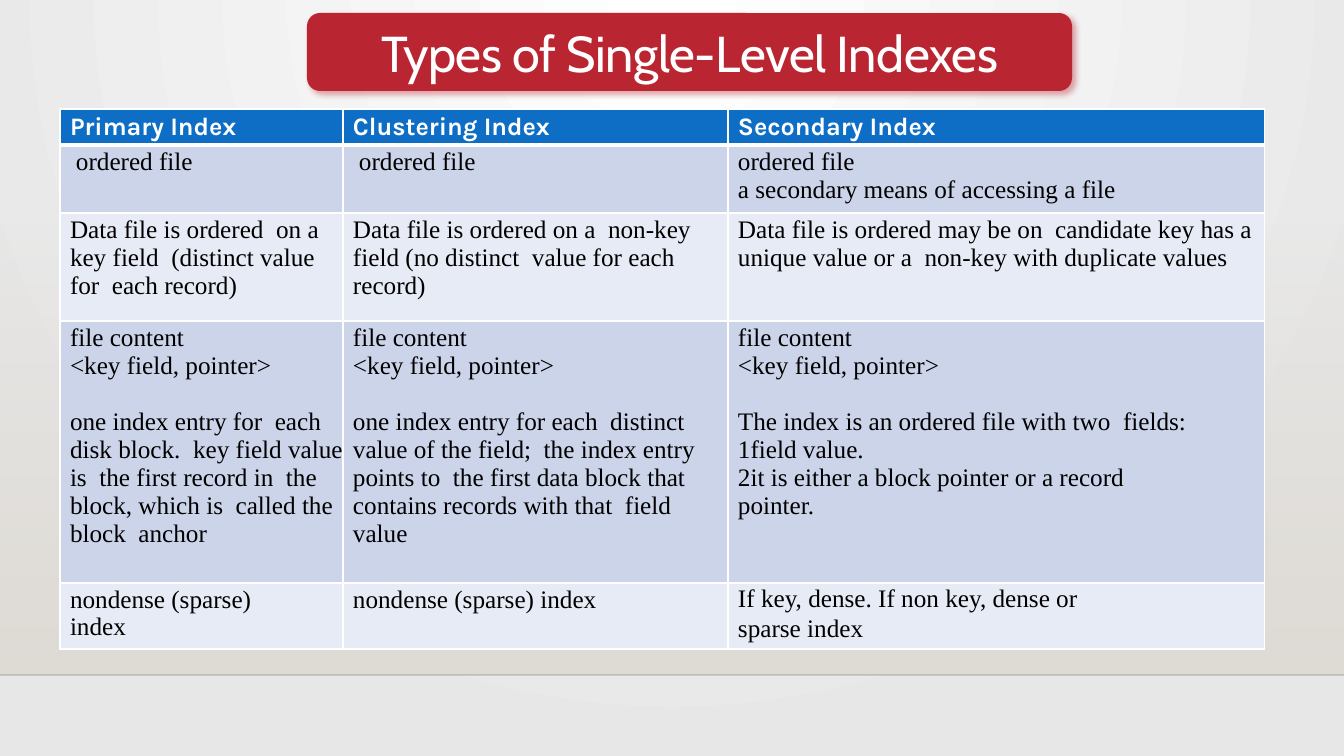
from dataclasses import dataclass

import pptx
import pptx.util
from lxml import etree
from pptx.dml.color import RGBColor
from pptx.enum.shapes import MSO_CONNECTOR, MSO_SHAPE
from pptx.enum.text import MSO_ANCHOR, PP_ALIGN
from pptx.oxml.ns import qn

SCALE = 914400 / 100.8
WIDE, HIGH = 1344, 756


class Theme:
    white, black, edge = "FFFFFF", "000000", "000001"
    rim, floor = "E7E7E7", "DFDBD5"
    red, blue = "BA2532", "0E6EC5"
    bands = ("CCD4EA", "E7EBF5")
    title, head, body = "Cabin", "Karla", "Times New Roman"
    large, small = 36, 18


@dataclass
class Line:
    text: str
    gap: float = 0
    pitch: float = 0
    indent: int = 10
    number: bool = False


COLS = (283, 385, 536)
ROWS = (36, 68, 108, 262, 66)
HEADS = ("Primary Index", "Clustering Index", "Secondary Index")
ORDER = [Line("ordered file", indent=16)]
ENTRY = [Line("file content"), Line("<key field, pointer>")]
BLANK = 20.2
BODY = (
    (
        ORDER,
        ORDER,
        [Line("ordered file"), Line("a secondary means of accessing a file")],
    ),
    (
        [Line("Data file is ordered  on a key field  (distinct value for  each record)")],
        [Line("Data file is ordered on a  non-key field (no distinct  value for each record)")],
        [Line("Data file is ordered may be on  candidate key has a unique value"
              " or a  non-key with duplicate values")],
    ),
    (
        ENTRY + [Line("one index entry for  each disk block.  key field value is  the first"
                      " record in  the block, which is  called the block  anchor", BLANK)],
        ENTRY + [Line("one index entry for each  distinct value of the field;  the index entry"
                      " points to  the first data block that  contains records with that  field"
                      " value", BLANK)],
        ENTRY + [
            Line("The index is an ordered file with two  fields:", BLANK),
            Line("field value.", number=True),
            Line("it is either a block pointer or a record", number=True),
            Line("pointer."),
        ],
    ),
    (
        [Line("nondense (sparse)"), Line("index", pitch=19.2)],
        [Line("nondense (sparse) index")],
        [Line("If key, dense. If non key, dense or", pitch=19),
         Line("sparse index", gap=7.2, pitch=14.6)],
    ),
)


def px(count):
    return pptx.util.Emu(round(count * SCALE))


def node(parent, tag, **attrs):
    return etree.SubElement(parent, qn(f"a:{tag}"), attrs)


def paint(fill, color):
    fill.solid()
    fill.fore_color.rgb = RGBColor.from_string(color)


def blend(fill, *colors):
    fill.gradient()
    for stop, place, color in zip(fill.gradient_stops, (0, 1), colors):
        stop.position = place
        stop.color.rgb = RGBColor.from_string(color)


def write(para, text, font, size, color, bold=False):
    run = para.add_run()
    run.text = text
    run.font.name = font
    run.font.size = pptx.util.Pt(size)
    run.font.bold = bold
    run.font.color.rgb = RGBColor.from_string(color)
    return run


def add_back(slide, top, base):
    """Draw the round backdrop and a floor that fades in from top to base."""
    fill = slide.background.fill
    blend(fill, Theme.white, Theme.rim)
    grad = slide.element.find(f".//{qn('a:gradFill')}")
    grad.remove(grad.find(qn("a:lin")))
    ring = etree.SubElement(grad, qn("a:path"), {"path": "circle"})
    node(ring, "fillToRect", l="43000", t="0", r="43000", b="100000")

    floor = slide.shapes.add_shape(
        MSO_SHAPE.RECTANGLE, 0, px(top), px(WIDE), px(base - top))
    floor.shadow.inherit = False
    floor.line.fill.background()
    blend(floor.fill, Theme.floor, Theme.floor)
    floor.fill.gradient_angle = 270
    node(floor.element.find(f".//{qn('a:srgbClr')}"), "alpha", val="0")

    edge = slide.shapes.add_connector(
        MSO_CONNECTOR.STRAIGHT, 0, px(base), px(WIDE), px(base))
    edge.line.width = pptx.util.Pt(1)
    paint(edge.line.fill, Theme.edge)
    node(edge.element.find(f".//{qn('a:srgbClr')}"), "alpha", val="20000")
    node(edge.element.spPr, "effectLst")


def add_title(slide, left, top, width, height):
    box = slide.shapes.add_shape(
        MSO_SHAPE.ROUNDED_RECTANGLE, px(left), px(top), px(width), px(height))
    paint(box.fill, Theme.red)
    box.line.fill.background()
    glow = node(node(box.element.spPr, "effectLst"), "outerShdw", blurRad="50800",
                dist="38100", dir="2700000", algn="tl", rotWithShape="0")
    node(node(glow, "srgbClr", val=Theme.red), "alpha", val="40000")
    frame = box.text_frame
    frame.word_wrap = True
    frame.vertical_anchor = MSO_ANCHOR.MIDDLE
    para = frame.paragraphs[0]
    para.alignment = PP_ALIGN.CENTER
    run = write(para, "Types of Single-Level Indexes",
                Theme.title, Theme.large, Theme.white)
    run.font._element.set("spc", "-30")


def add_rule(cell, side, width):
    line = node(cell._tc.get_or_add_tcPr(), f"ln{side}",
                w=str(pptx.util.Pt(width)))
    node(node(line, "solidFill"), "srgbClr", val=Theme.white)


def fill_cell(cell, lines, font, color, bold):
    cell.margin_left = cell.margin_right = cell.margin_bottom = 0
    cell.margin_top = px(3)
    frame = cell.text_frame
    for place, line in enumerate(lines):
        para = frame.add_paragraph() if place else frame.paragraphs[0]
        if line.pitch:
            para.line_spacing = pptx.util.Pt(line.pitch)
        if line.gap:
            para.space_before = pptx.util.Pt(line.gap)
        props = para._p.get_or_add_pPr()
        props.set("marL", str(px(line.indent)))
        props.set("indent", "0")
        if line.number:
            node(props, "buAutoNum", type="arabicPlain")
        write(para, line.text, font, Theme.small, color, bold)


def add_grid(slide, left, top):
    frame = slide.shapes.add_table(len(ROWS), len(COLS), px(left), px(top),
                                   px(sum(COLS)), px(sum(ROWS)))
    table = frame.table
    table.horz_banding = table.first_row = False
    for col, width in zip(table.columns, COLS):
        col.width = px(width)
    for row, height in zip(table.rows, ROWS):
        row.height = px(height)
    rows = [[[Line(head)] for head in HEADS], *BODY]
    for r, row in enumerate(rows):
        head = r == 0
        for c, lines in enumerate(row):
            cell = table.cell(r, c)
            add_rule(cell, "L", 1)
            add_rule(cell, "R", 0.5 if c == len(COLS) - 1 else 1)
            add_rule(cell, "T", 3 if r == 1 else 1)
            if r < len(ROWS) - 1:
                add_rule(cell, "B", 3 if head else 1)
            paint(cell.fill, Theme.blue if head else Theme.bands[(r - 1) % 2])
            fill_cell(cell, lines, Theme.head if head else Theme.body,
                      Theme.white if head else Theme.black, head)


def main():
    deck = pptx.Presentation()
    deck.slide_width, deck.slide_height = px(WIDE), px(HIGH)
    slide = deck.slides.add_slide(deck.slide_layouts[6])
    add_back(slide, 223, 675)
    add_grid(slide, 60, 109)
    add_title(slide, 307, 13, 765, 78)
    deck.save("out.pptx")


if __name__ == "__main__":
    main()
